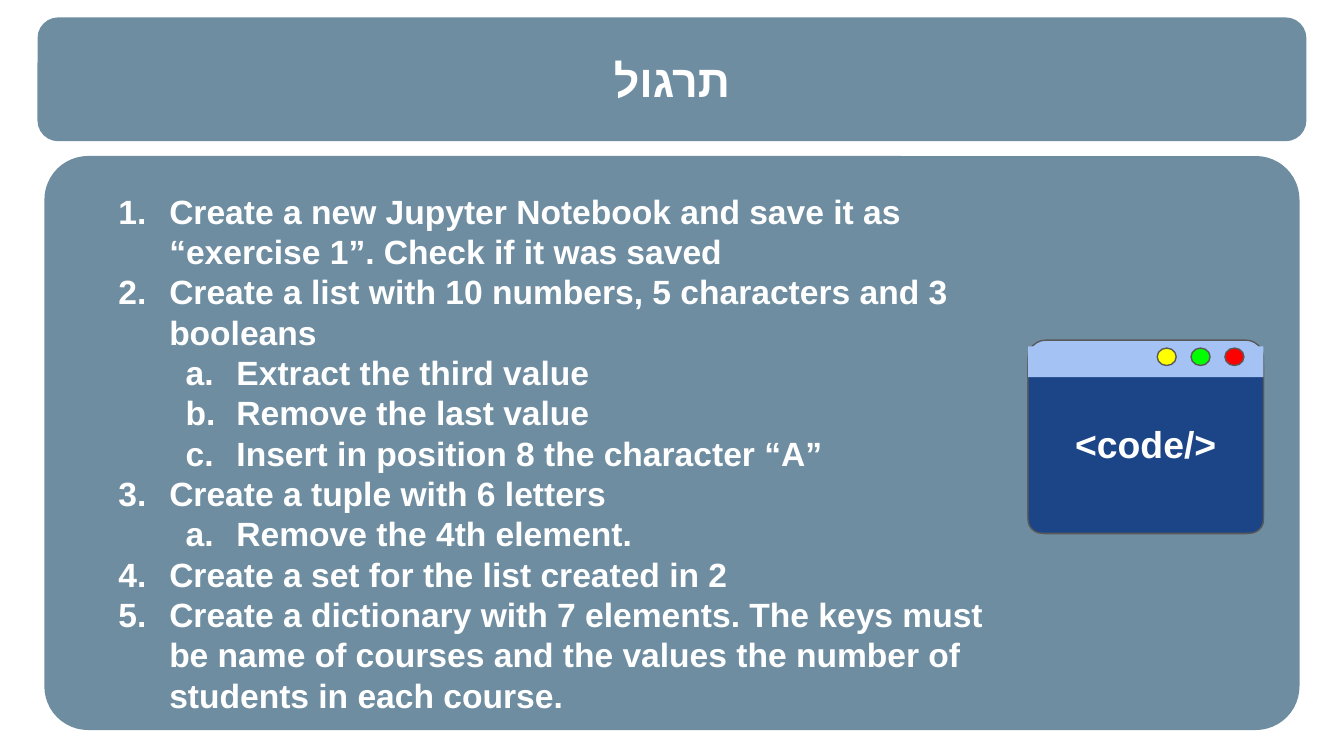
from lxml.etree import SubElement
from pptx import Presentation
from pptx.dml.color import RGBColor
from pptx.enum.shapes import MSO_SHAPE as SHAPE
from pptx.enum.text import MSO_ANCHOR as ANCHOR, PP_ALIGN as ALIGN
from pptx.oxml.ns import qn
from pptx.util import Cm, Pt

TITLE = "תרגול"
TASKS = [
    (0, "Create a new Jupyter Notebook and save it as “exercise 1”. Check if it was saved"),
    (0, "Create a list with 10 numbers, 5 characters and 3 booleans"),
    (1, "Extract the third value"),
    (1, "Remove the last value"),
    (1, "Insert in position 8 the character “A”"),
    (0, "Create a tuple with 6 letters"),
    (1, "Remove the 4th element."),
    (0, "Create a set for the list created in 2"),
    (0, "Create a dictionary with 7 elements. The keys must be name of courses "
        "and the values the number of students in each course."),
]
COLORS = {"panel": "215170", "text": "FFFFFF", "bar": "A4C2F4", "screen": "1C4587",
          "outline": "595959", "yellow": "FFFF00", "green": "00FF00", "red": "FF0000"}
PANELS = [((0.71, 0.33, 23.98, 2.34), 0.167), ((0.84, 2.95, 23.72, 10.85), 0.076)]
TITLE_BOX = (0.84, 0.74, 23.72, 1.52)
LIST_BOX = (1.93, 3.43, 17.04, 10.26)
WINDOW_X, WINDOW_W = 19.43, 4.45
BUTTONS = ["yellow", "green", "red"]
NUMBERING = ["arabicPeriod", "alphaLcPeriod"]
INDENT, HANGING = 1.27, 0.96


def rgb(name):
    return RGBColor.from_string(COLORS[name])


def add_box(shapes, kind, box, fill, outline=None, radius=None):
    sp = shapes.add_shape(kind, *map(Cm, box))
    sp.shadow.inherit = False
    sp.fill.solid()
    sp.fill.fore_color.rgb = rgb(fill)
    if outline:
        sp.line.color.rgb = rgb(outline)
        sp.line.width = Pt(0.75)
    else:
        sp.line.fill.background()
    if radius is not None:
        sp.adjustments[0] = radius
    return sp


def set_frame(tf, margin=0):
    tf.word_wrap = True
    tf.vertical_anchor = ANCHOR.MIDDLE
    tf.margin_left = tf.margin_right = tf.margin_top = tf.margin_bottom = Cm(margin)


def add_run(p, text, size):
    r = p.add_run()
    r.text = text
    r.font.name = "Arial"
    r.font.size = Pt(size)
    r.font.bold = True
    r.font.color.rgb = rgb("text")
    return r


def add_panels(s):
    for box, radius in PANELS:
        sp = add_box(s.shapes, SHAPE.ROUNDED_RECTANGLE, box, "panel", radius=radius)
        color = sp.element.spPr.find(qn("a:solidFill"))[0]
        SubElement(color, qn("a:alpha"), val="65000")
        s.shapes.title.element.addprevious(sp.element)


def add_title(s):
    sp = s.shapes.title
    sp.left, sp.top, sp.width, sp.height = map(Cm, TITLE_BOX)
    set_frame(sp.text_frame)
    p = sp.text_frame.paragraphs[0]
    p.alignment = ALIGN.CENTER
    p._p.get_or_add_pPr().set("rtl", "1")
    r = add_run(p, TITLE, 24)
    SubElement(r._r.get_or_add_rPr(), qn("a:cs"), typeface="Arial")


def add_window(s):
    shapes = s.shapes.add_group_shape().shapes
    add_box(shapes, SHAPE.ROUNDED_RECTANGLE, (WINDOW_X, 6.43, WINDOW_W, 3.66),
            "bar", "outline", 0.091)
    screen = add_box(shapes, SHAPE.ROUNDED_RECTANGLE, (WINDOW_X, 6.68, WINDOW_W, 3.4),
                     "screen", "outline", 0.075)
    set_frame(screen.text_frame, 0.25)
    p = screen.text_frame.paragraphs[0]
    p.alignment = ALIGN.CENTER
    add_run(p, "<code/>", 20)
    add_box(shapes, SHAPE.RECTANGLE, (WINDOW_X, 6.55, WINDOW_W, 0.58), "bar")
    for i, color in enumerate(BUTTONS):
        add_box(shapes, SHAPE.OVAL, (21.87 + 0.64 * i, 6.58, 0.36, 0.33), color, "outline")


def add_tasks(s):
    tf = s.shapes.add_textbox(*map(Cm, LIST_BOX)).text_frame
    set_frame(tf)
    for i, (level, text) in enumerate(TASKS):
        p = tf.add_paragraph() if i else tf.paragraphs[0]
        p.level = level
        p.line_spacing = Pt(21.6)
        pPr = p._p.get_or_add_pPr()
        pPr.set("marL", str(Cm(INDENT * (level + 1))))
        pPr.set("indent", str(-Cm(HANGING)))
        SubElement(SubElement(pPr, qn("a:buClr")), qn("a:srgbClr"), val=COLORS["text"])
        SubElement(pPr, qn("a:buFont"), typeface="Arial")
        SubElement(pPr, qn("a:buAutoNum"), type=NUMBERING[level])
        add_run(p, text, 18)


def main():
    """Build the exercise slide."""
    prs = Presentation()
    prs.slide_width, prs.slide_height = Cm(25.4), Cm(14.29)
    s = prs.slides.add_slide(prs.slide_layouts[5])
    add_panels(s)
    add_title(s)
    add_window(s)
    add_tasks(s)
    prs.save("out.pptx")


if __name__ == "__main__":
    main()
